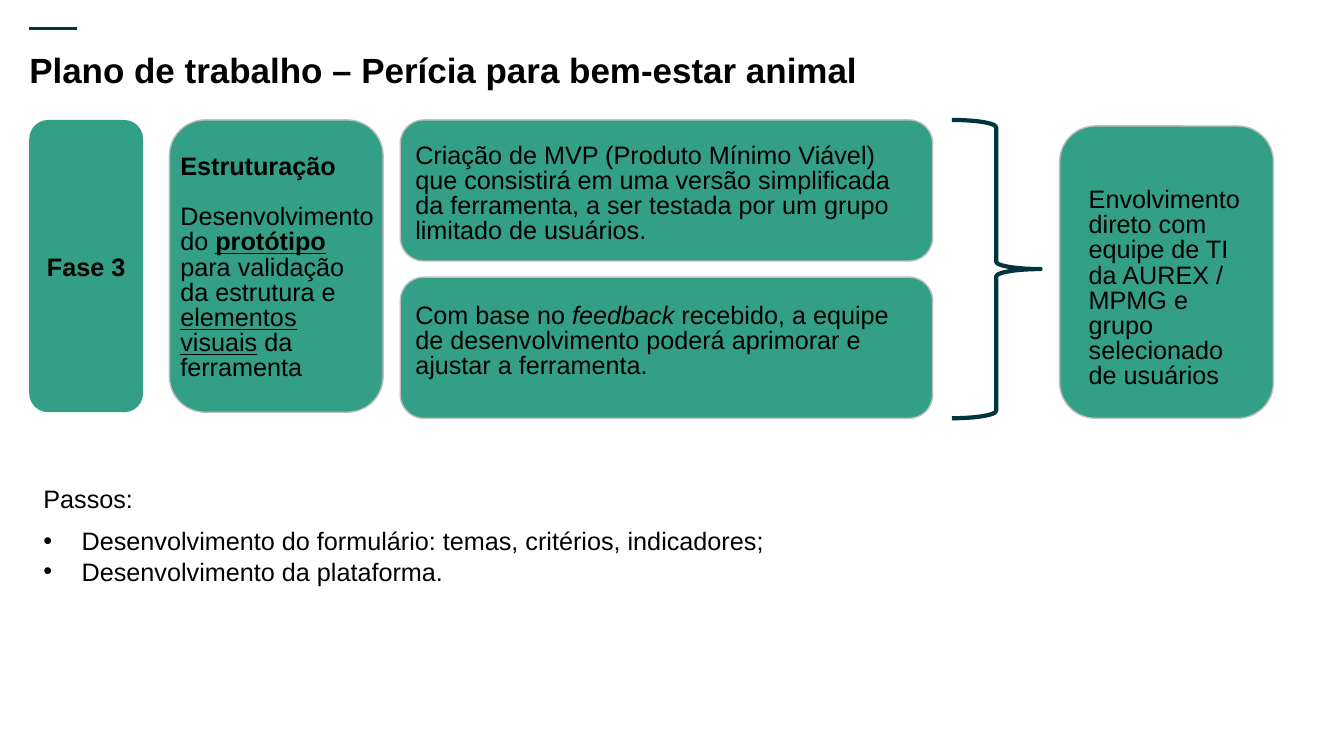
"""Builds the phase 3 work plan slide for the animal welfare assessment."""
import pptx
import pptx.dml.color
import pptx.enum.shapes
import pptx.enum.text
import pptx.oxml
import pptx.util
from lxml import etree

Inches = pptx.util.Inches
Pt = pptx.util.Pt
SHAPE = pptx.enum.shapes.MSO_SHAPE
ALIGN = pptx.enum.text.PP_ALIGN
ANCHOR = pptx.enum.text.MSO_ANCHOR

THEME = {
    "font": "Arial",
    "ink": pptx.dml.color.RGBColor.from_string("000000"),
    "green": pptx.dml.color.RGBColor.from_string("008768"),
    "teal": pptx.dml.color.RGBColor.from_string("00353E"),
    "border": pptx.dml.color.RGBColor.from_string("BFBFBF"),
    "title": Pt(25),
    "body": Pt(18),
}


def style_runs(paragraph, size, bold=False):
    for run in paragraph.runs:
        run.font.name = THEME["font"]
        run.font.size = size
        run.font.color.rgb = THEME["ink"]
        run.font.bold = bold


def add_card(left, top, width, height):
    card = slide.shapes.add_shape(
        SHAPE.ROUNDED_RECTANGLE, Inches(left), Inches(top), Inches(width), Inches(height))
    card.shadow.inherit = False
    card.fill.solid()
    card.fill.fore_color.rgb = THEME["green"]
    color = card.fill._xPr.find(".//" + pptx.oxml.ns.qn("a:srgbClr"))
    etree.SubElement(color, pptx.oxml.ns.qn("a:alpha"), val="80000")
    card.line.color.rgb = THEME["border"]
    card.line.width = Pt(1)
    return card


deck = pptx.Presentation()
deck.slide_width = Inches(13.33)
deck.slide_height = Inches(7.5)
slide = deck.slides.add_slide(deck.slide_layouts[1])

accent = slide.shapes.add_connector(
    pptx.enum.shapes.MSO_CONNECTOR.STRAIGHT, Inches(0.29), Inches(0.28), Inches(0.76), Inches(0.28))
accent.line.color.rgb = THEME["teal"]
accent.line.width = Pt(2)
etree.SubElement(accent._element.spPr, pptx.oxml.ns.qn("a:effectLst"))

title = slide.shapes.title
title.left, title.top, title.width, title.height = map(Inches, (0.29, 0.48, 12.75, 0.71))
heading = title.text_frame
heading.text = "Plano de trabalho – Perícia para bem-estar animal"
heading.auto_size = pptx.enum.text.MSO_AUTO_SIZE.NONE
heading.vertical_anchor = ANCHOR.TOP
heading.margin_left = heading.margin_right = heading.margin_top = heading.margin_bottom = 0
heading.paragraphs[0].alignment = ALIGN.LEFT
style_runs(heading.paragraphs[0], THEME["title"], bold=True)

phase = add_card(0.29, 1.19, 1.13, 2.9)
phase.line.fill.background()
phase.text_frame.text = "Fase 3"
phase.text_frame.vertical_anchor = ANCHOR.MIDDLE
phase.text_frame.paragraphs[0].alignment = ALIGN.CENTER
style_runs(phase.text_frame.paragraphs[0], THEME["body"], bold=True)

for card_place in (
    (1.68, 1.19, 2.12, 2.9),
    (3.97, 1.19, 5.28, 1.4),
    (3.97, 2.75, 5.28, 1.4),
    (10.51, 1.25, 2.12, 2.9),
):
    add_card(*card_place)

brace = slide.shapes.add_shape(
    SHAPE.RIGHT_BRACE, Inches(9.44), Inches(1.19), Inches(0.88), Inches(2.96))
brace.shadow.inherit = False
brace.fill.background()
brace.line.color.rgb = THEME["teal"]
brace.line.width = Pt(3)

card_texts = [
    ((1.69, 1.49, 2.15, 2.37), 6, [
        [("Estruturação", "b")],
        [("Desenvolvimento do ", ""), ("protótipo", "bu"),
         (" para validação da estrutura e ", ""), ("elementos visuais", "u"),
         (" da ferramenta", "")],
    ]),
    ((4.02, 1.38, 5.19, 1.11), 12, [
        [("Criação de MVP (Produto Mínimo Viável) que consistirá em uma versão simplificada "
          "da ferramenta, a ser testada por um grupo limitado de usuários.", "")],
    ]),
    ((4.02, 2.97, 5.19, 0.86), 12, [
        [("Com base no ", ""), ("feedback", "i"),
         (" recebido, a equipe de desenvolvimento poderá aprimorar e ajustar a ferramenta.", "")],
    ]),
    ((10.7, 1.82, 1.74, 2.12), 12, [
        [("Envolvimento direto com equipe de TI da AUREX / MPMG e grupo "
          "selecionado de usuários", "")],
    ]),
]
for place, space_after, paragraphs in card_texts:
    frame = slide.shapes.add_textbox(*map(Inches, place)).text_frame
    frame.word_wrap = True
    for index, pieces in enumerate(paragraphs):
        paragraph = frame.add_paragraph() if index else frame.paragraphs[0]
        paragraph.line_spacing = Pt(18)
        paragraph.space_before = Pt(12)
        paragraph.space_after = Pt(space_after)
        for wording, marks in pieces:
            paragraph.add_run().text = wording
        style_runs(paragraph, THEME["body"])
        for run, (wording, marks) in zip(paragraph.runs, pieces):
            run.font.bold = "b" in marks
            run.font.italic = "i" in marks
            run.font.underline = "u" in marks

steps = slide.placeholders[1]
steps.left, steps.top, steps.width, steps.height = map(Inches, (0.33, 4.74, 10.66, 1.14))
steps.text_frame.text = (
    "Passos:\n"
    "Desenvolvimento do formulário: temas, critérios, indicadores;\n"
    "Desenvolvimento da plataforma."
)
steps.text_frame.auto_size = pptx.enum.text.MSO_AUTO_SIZE.NONE
for step, indent, space_after in zip(steps.text_frame.paragraphs, (0, 0.38, 0.38), (9, 0, 12)):
    step.alignment = ALIGN.JUSTIFY
    step.space_before = Pt(0)
    step.space_after = Pt(space_after)
    style_runs(step, THEME["body"])
    properties = step._p.get_or_add_pPr()
    properties.set("marL", str(Inches(indent)))
    properties.set("indent", str(-Inches(indent)))
    if not indent:
        etree.SubElement(properties, pptx.oxml.ns.qn("a:buNone"))

deck.save("out.pptx")
